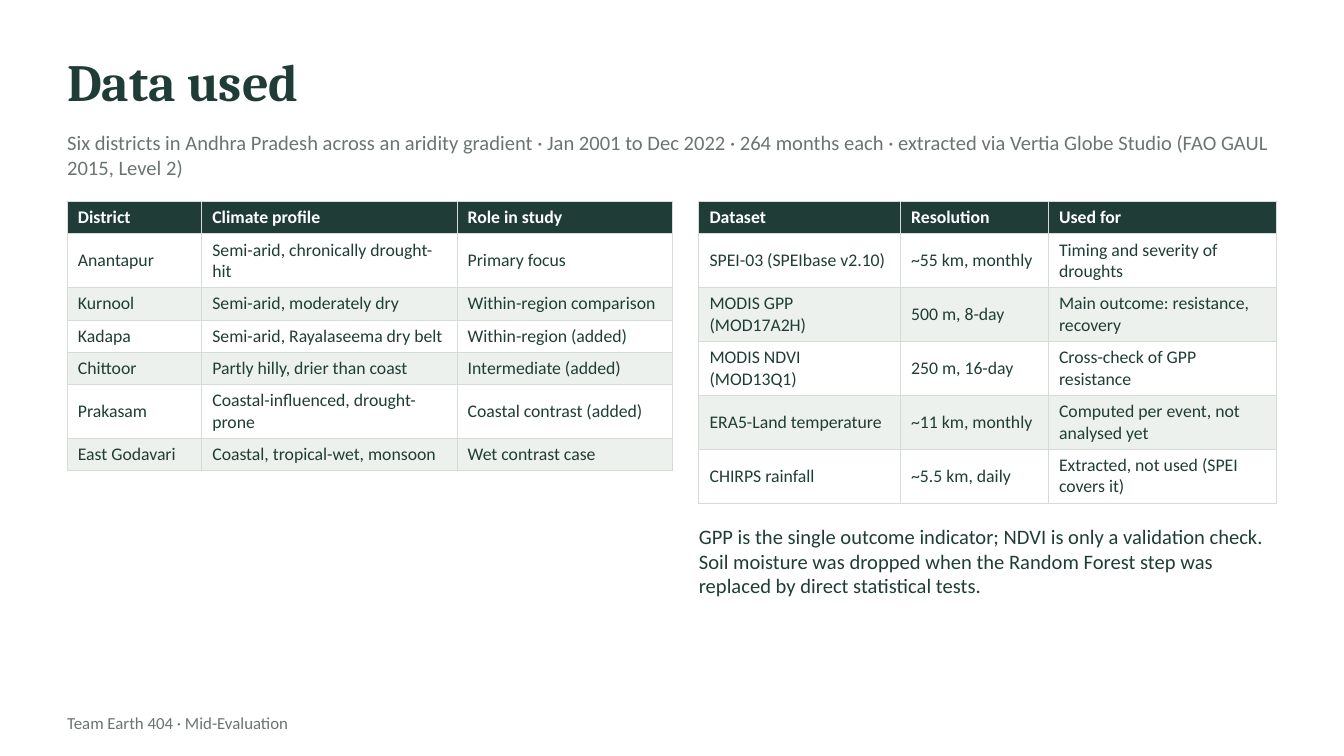
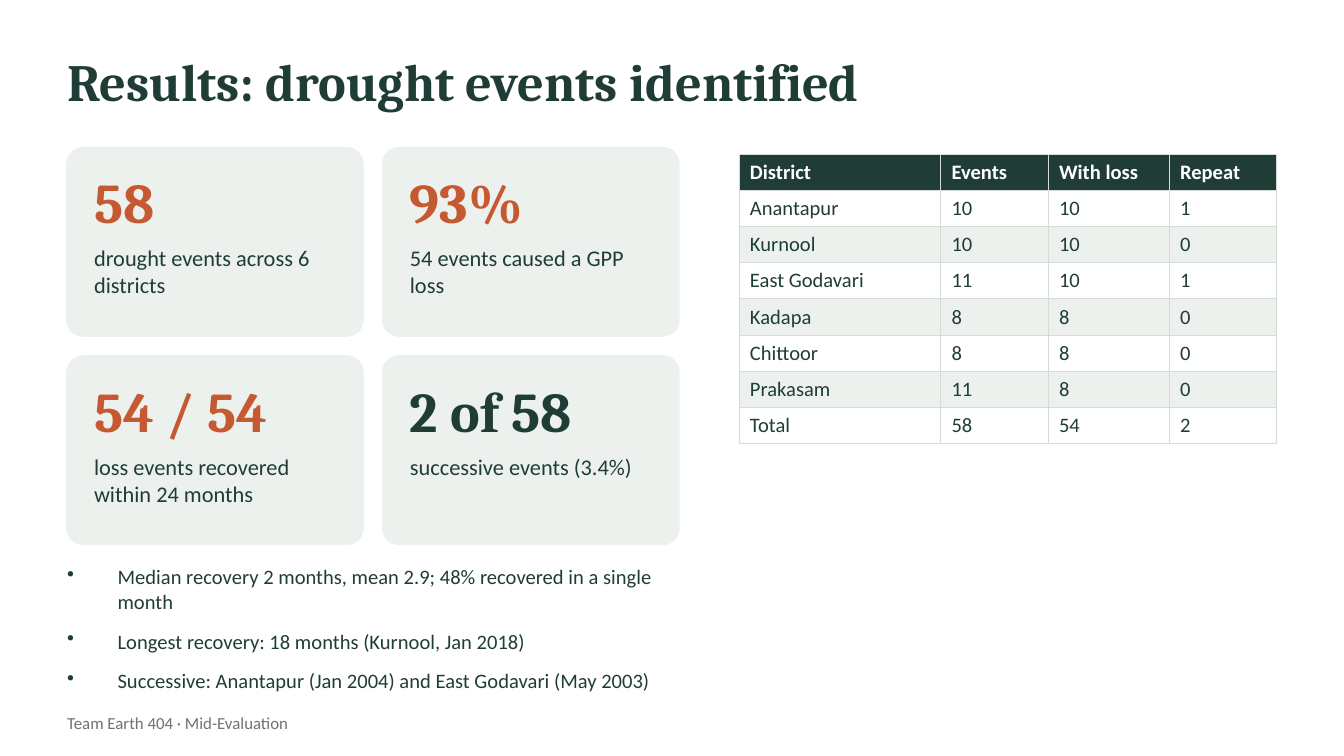
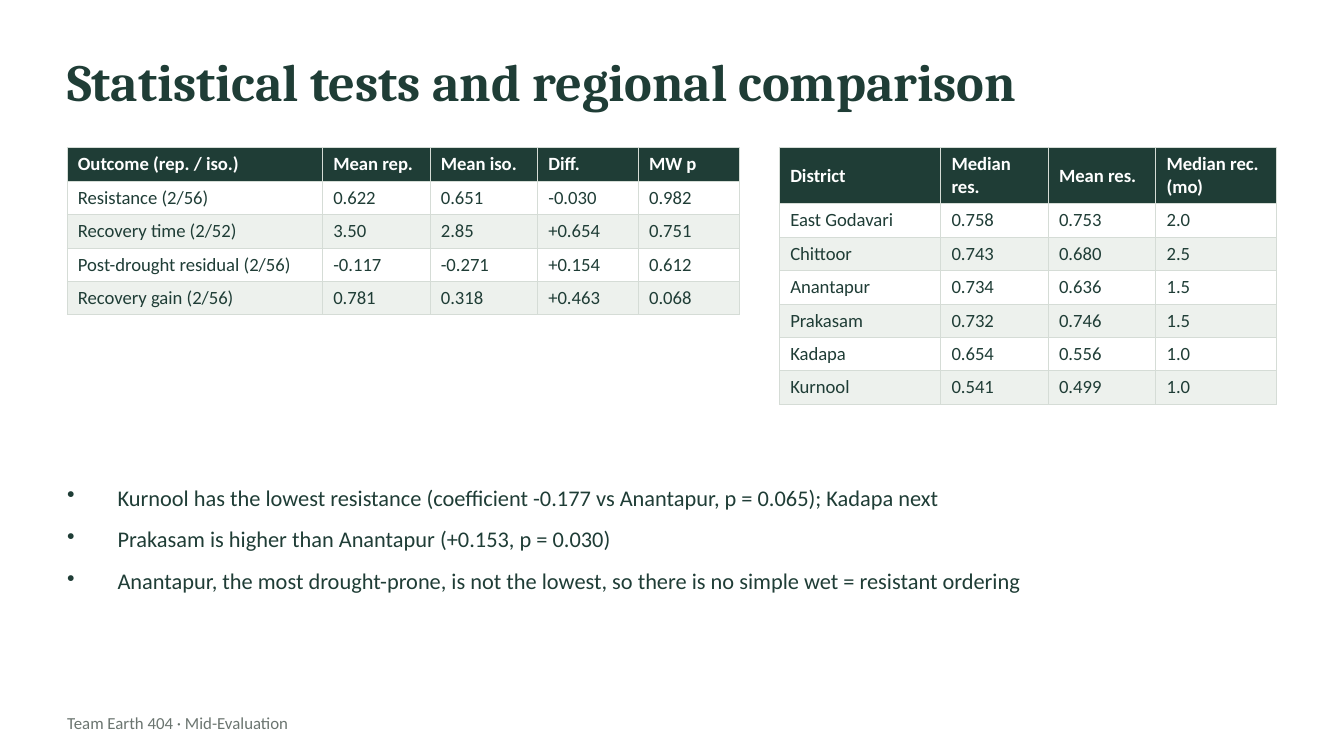
from lxml import etree
from pptx import Presentation
from pptx.dml.color import RGBColor
from pptx.enum.shapes import MSO_SHAPE
from pptx.enum.text import MSO_ANCHOR, MSO_AUTO_SIZE, PP_ALIGN
from pptx.oxml import parse_xml
from pptx.oxml.ns import nsdecls, qn
from pptx.util import Inches, Pt

COLORS = {name: RGBColor.from_string(value) for name, value in {
    "green": "1F3D36", "pale": "EDF1ED", "rust": "C55A32",
    "grey": "6B7570", "rule": "D5DCD6", "white": "FFFFFF"}.items()}
HEAD, BODY = "Cambria", "Calibri"

prs = Presentation()
prs.slide_width, prs.slide_height = Inches(10), Inches(5.625)

# Grid: ten square columns across the slide; all lengths are in columns
COL = prs.slide_width // 10
LEFT, WIDTH = 0.5, 9
RIGHT = LEFT + WIDTH


def add_text(slide, box, lines, size, color="green", font=BODY, bold=False,
             anchor=MSO_ANCHOR.TOP, bullets=False, shape=None):
    """Write lines in a new text box, or in the given shape moved to the box."""
    place = [round(v * COL) for v in box]
    if shape is None:
        shape = slide.shapes.add_textbox(*place)
    shape.left, shape.top, shape.width, shape.height = place
    frame = shape.text_frame
    frame.word_wrap, frame.auto_size = True, MSO_AUTO_SIZE.NONE
    frame.vertical_anchor = anchor
    frame.margin_left = frame.margin_right = frame.margin_top = frame.margin_bottom = 0
    frame.text = "\n".join(lines)
    for p in frame.paragraphs:
        p.alignment = PP_ALIGN.LEFT
        run_font = p.runs[0].font
        run_font.name, run_font.size, run_font.bold = font, Pt(size), bold
        run_font.color.rgb = COLORS[color]
        if bullets:
            p.space_after = Pt(8)
            props = p._p.get_or_add_pPr()
            indent = Inches(0.375)
            props.set("marL", str(indent))
            props.set("indent", str(-indent))
            etree.SubElement(props, qn("a:buChar")).set("char", "•")


def add_table(slide, left, top, widths, size, rows):
    """Table with a dark header, banded rows and thin rules; rows grow to fit."""
    row_height = Pt(size * 1.2) + Inches(0.08)
    table = slide.shapes.add_table(
        len(rows), len(widths), round(left * COL), round(top * COL),
        round(sum(widths) * COL), row_height * len(rows)).table
    for column, width in zip(table.columns, widths):
        column.width = round(width * COL)
    for r, row in enumerate(rows):
        table.rows[r].height = row_height
        for c, value in enumerate(row):
            cell = table.cell(r, c)
            cell.vertical_anchor = MSO_ANCHOR.MIDDLE
            cell.margin_left = cell.margin_right = Inches(0.08)
            cell.margin_top = cell.margin_bottom = Inches(0.04)
            for side in "LRTB":
                cell._tc.get_or_add_tcPr().append(parse_xml(
                    f'<a:ln{side} {nsdecls("a")} w="{Pt(0.5)}"><a:solidFill>'
                    f'<a:srgbClr val="{COLORS["rule"]}"/></a:solidFill></a:ln{side}>'))
            cell.fill.solid()
            fill = "green" if r == 0 else "white" if r % 2 else "pale"
            cell.fill.fore_color.rgb = COLORS[fill]
            cell.text = value
            font = cell.text_frame.paragraphs[0].runs[0].font
            font.name, font.size, font.bold = BODY, Pt(size), r == 0
            font.color.rgb = COLORS["green" if r else "white"]


# Shared title and footer
slides = []
for title in ("Data used", "Results: drought events identified",
              "Statistical tests and regional comparison"):
    slide = prs.slides.add_slide(prs.slide_layouts[5])
    add_text(slide, (LEFT, 0.3, WIDTH, 0.6), [title], 28, font=HEAD, bold=True,
             anchor=MSO_ANCHOR.MIDDLE, shape=slide.shapes.title)
    add_text(slide, (LEFT, 5.25, 5, 0.25), ["Team Earth 404 · Mid-Evaluation"], 9,
             "grey", anchor=MSO_ANCHOR.MIDDLE)
    slides.append(slide)
data, results, tests = slides

# Slide 1: study districts and datasets
add_text(data, (LEFT, 0.95, WIDTH, 0.4), [
    "Six districts in Andhra Pradesh across an aridity gradient · Jan 2001 to Dec 2022 · "
    "264 months each · extracted via Vertia Globe Studio (FAO GAUL 2015, Level 2)"],
    11, "grey", anchor=MSO_ANCHOR.MIDDLE)
add_table(data, LEFT, 1.5, (1, 1.9, 1.6), 9.5, [
    ("District", "Climate profile", "Role in study"),
    ("Anantapur", "Semi-arid, chronically drought-hit", "Primary focus"),
    ("Kurnool", "Semi-arid, moderately dry", "Within-region comparison"),
    ("Kadapa", "Semi-arid, Rayalaseema dry belt", "Within-region (added)"),
    ("Chittoor", "Partly hilly, drier than coast", "Intermediate (added)"),
    ("Prakasam", "Coastal-influenced, drought-prone", "Coastal contrast (added)"),
    ("East Godavari", "Coastal, tropical-wet, monsoon", "Wet contrast case")])
dataset_widths = (1.5, 1.1, 1.7)
dataset_left = RIGHT - sum(dataset_widths)
add_table(data, dataset_left, 1.5, dataset_widths, 9.5, [
    ("Dataset", "Resolution", "Used for"),
    ("SPEI-03 (SPEIbase v2.10)", "~55 km, monthly", "Timing and severity of droughts"),
    ("MODIS GPP (MOD17A2H)", "500 m, 8-day", "Main outcome: resistance, recovery"),
    ("MODIS NDVI (MOD13Q1)", "250 m, 16-day", "Cross-check of GPP resistance"),
    ("ERA5-Land temperature", "~11 km, monthly", "Computed per event, not analysed yet"),
    ("CHIRPS rainfall", "~5.5 km, daily", "Extracted, not used (SPEI covers it)")])
add_text(data, (dataset_left, 3.9, sum(dataset_widths), 0.8), [
    "GPP is the single outcome indicator; NDVI is only a validation check. Soil moisture was "
    "dropped when the Random Forest step was replaced by direct statistical tests."], 11)

# Slide 2: two by two cards of key figures
CARD_W, CARD_H, GAP, PAD = 2.2, 1.4, 0.15, 0.2
cards = [("58", "drought events across 6 districts", "rust"),
         ("93%", "54 events caused a GPP loss", "rust"),
         ("54 / 54", "loss events recovered within 24 months", "rust"),
         ("2 of 58", "successive events (3.4%)", "green")]
for i, (figure, label, color) in enumerate(cards):
    x = LEFT + i % 2 * (CARD_W + GAP)
    y = 1.1 + i // 2 * (CARD_H + GAP)
    card = results.shapes.add_shape(MSO_SHAPE.ROUNDED_RECTANGLE,
                                    *[round(v * COL) for v in (x, y, CARD_W, CARD_H)])
    card.adjustments[0] = 0.086
    card.shadow.inherit = False
    card.fill.solid()
    card.fill.fore_color.rgb = card.line.color.rgb = COLORS["pale"]
    card.line.width = Pt(1)
    text_w = CARD_W - 2 * PAD
    add_text(results, (x + PAD, y + 0.1, text_w, 0.6), [figure], 30, color, HEAD, True,
             MSO_ANCHOR.MIDDLE)
    add_text(results, (x + PAD, y + 0.72, text_w, 0.6), [label], 12)

# Slide 2: findings and event counts
add_text(results, (LEFT, 4.2, 4.6, 1), [
    "Median recovery 2 months, mean 2.9; 48% recovered in a single month",
    "Longest recovery: 18 months (Kurnool, Jan 2018)",
    "Successive: Anantapur (Jan 2004) and East Godavari (May 2003)"], 11, bullets=True)
event_widths = (1.5, 0.8, 0.9, 0.8)
add_table(results, RIGHT - sum(event_widths), 1.15, event_widths, 11, [
    ("District", "Events", "With loss", "Repeat"),
    ("Anantapur", "10", "10", "1"),
    ("Kurnool", "10", "10", "0"),
    ("East Godavari", "11", "10", "1"),
    ("Kadapa", "8", "8", "0"),
    ("Chittoor", "8", "8", "0"),
    ("Prakasam", "11", "8", "0"),
    ("Total", "58", "54", "2")])

# Slide 3: test outcomes, district comparison and findings
add_table(tests, LEFT, 1.1, (1.9, 0.8, 0.8, 0.75, 0.75), 10, [
    ("Outcome (rep. / iso.)", "Mean rep.", "Mean iso.", "Diff.", "MW p"),
    ("Resistance (2/56)", "0.622", "0.651", "-0.030", "0.982"),
    ("Recovery time (2/52)", "3.50", "2.85", "+0.654", "0.751"),
    ("Post-drought residual (2/56)", "-0.117", "-0.271", "+0.154", "0.612"),
    ("Recovery gain (2/56)", "0.781", "0.318", "+0.463", "0.068")])
district_widths = (1.2, 0.8, 0.8, 0.9)
add_table(tests, RIGHT - sum(district_widths), 1.1, district_widths, 10, [
    ("District", "Median res.", "Mean res.", "Median rec. (mo)"),
    ("East Godavari", "0.758", "0.753", "2.0"),
    ("Chittoor", "0.743", "0.680", "2.5"),
    ("Anantapur", "0.734", "0.636", "1.5"),
    ("Prakasam", "0.732", "0.746", "1.5"),
    ("Kadapa", "0.654", "0.556", "1.0"),
    ("Kurnool", "0.541", "0.499", "1.0")])
add_text(tests, (LEFT, 3.6, WIDTH, 1.4), [
    "Kurnool has the lowest resistance (coefficient -0.177 vs Anantapur, p = 0.065); Kadapa next",
    "Prakasam is higher than Anantapur (+0.153, p = 0.030)",
    "Anantapur, the most drought-prone, is not the lowest, so there is no simple "
    "wet = resistant ordering"], 12, bullets=True)

prs.save("out.pptx")
